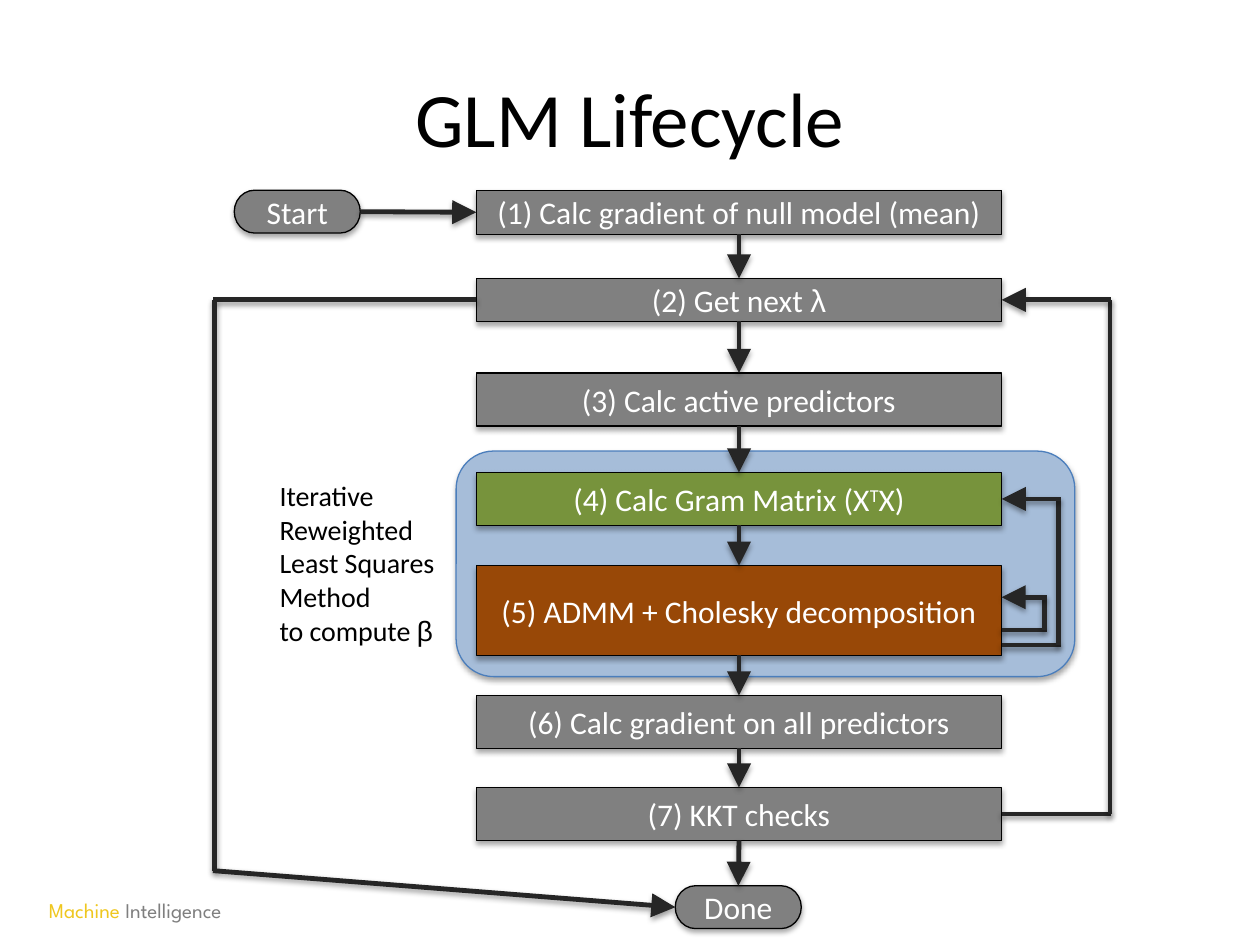
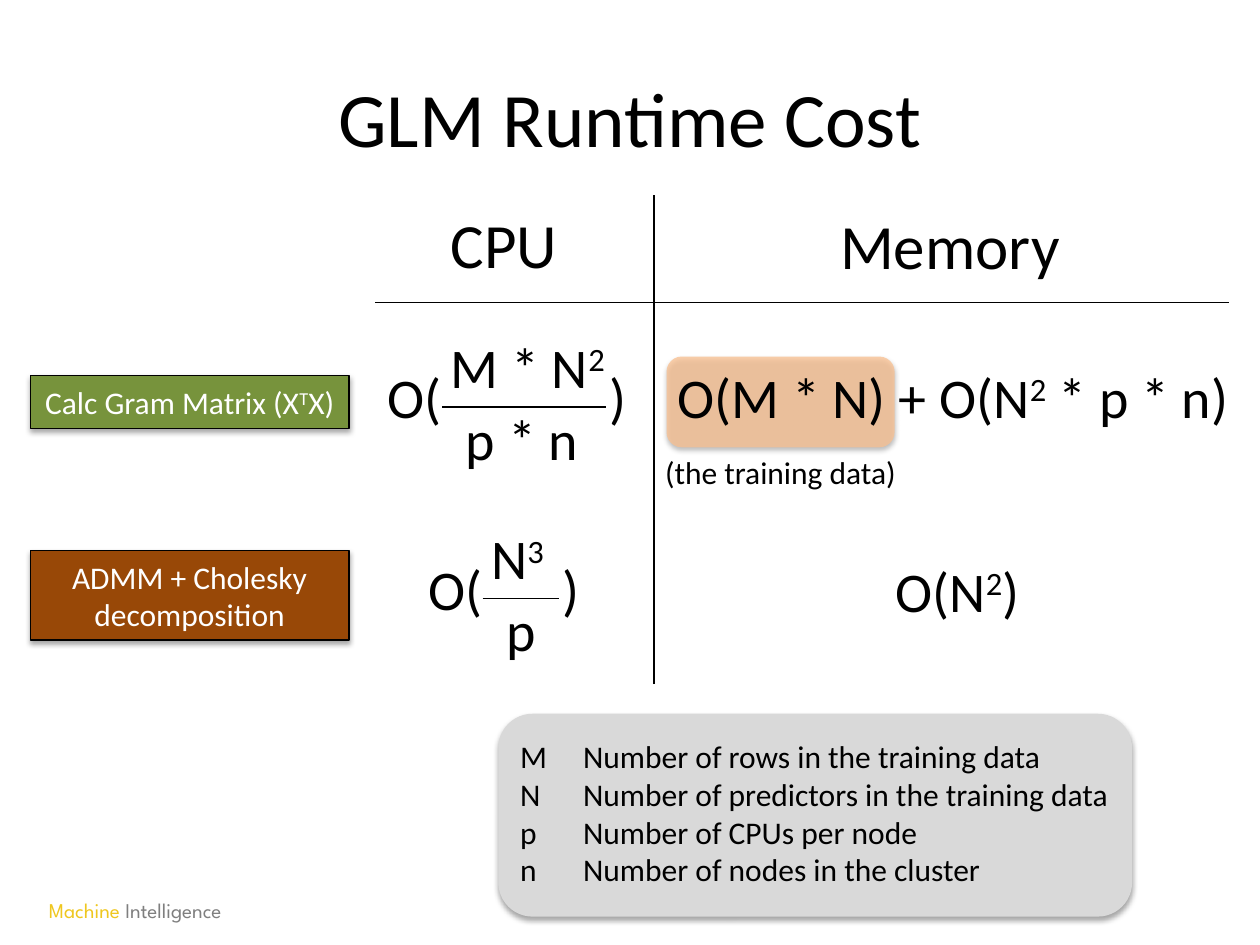
from pptx import Presentation
from pptx.dml.color import RGBColor
from pptx.enum.shapes import MSO_CONNECTOR, MSO_SHAPE
from pptx.enum.text import MSO_ANCHOR, MSO_AUTO_SIZE, PP_ALIGN
from pptx.oxml.ns import qn
from pptx.util import Inches, Pt
from lxml import etree

BOX, PILL, ROUND = (MSO_SHAPE.FLOWCHART_PROCESS, MSO_SHAPE.FLOWCHART_TERMINATOR,
                    MSO_SHAPE.ROUNDED_RECTANGLE)
STRAIGHT = MSO_CONNECTOR.STRAIGHT
MIDDLE, CENTER, LEFT = MSO_ANCHOR.MIDDLE, PP_ALIGN.CENTER, PP_ALIGN.LEFT
GROW = MSO_AUTO_SIZE.SHAPE_TO_FIT_TEXT
TOP_SIDE, LEFT_SIDE, LOW_SIDE, RIGHT_SIDE = range(4)

HUES = {
    "black": "000000", "white": "FFFFFF", "gray": "808080", "dark": "262626",
    "green": "77933C", "brown": "984807", "blue": "A6BDD9", "edge": "4B7EBC",
    "tan": "FAC090", "pale": "D9D9D9", "gold": "EFC71F", "dim": "7F7F7F",
}
BASE = {"size": 18, "name": "Calibri", "color": "black"}
SUP, GREEK = {"base": 30000}, {"name": "Arial"}

# ---- Content: a line is a list of runs, a run is text or (text, format) ----
FOOTER = [("Machine ", {"color": "gold"}), ("Intelligence", {"color": "dim"})]
GRAM = ["Calc Gram Matrix (X", ("T", SUP), "X)"]
ADMM = "ADMM + Cholesky decomposition"

# Steps: runs, top, height, fill
STEPS = [
    (["(1) Calc gradient of null model (mean)"], 1.51, 0.35, "gray"),
    (["(2) Get next ", ("λ", GREEK)], 2.21, 0.34, "gray"),
    (["(3) Calc active predictors"], 2.96, 0.42, "gray"),
    (["(4) "] + GRAM, 3.75, 0.42, "green"),
    (["(5) " + ADMM], 4.49, 0.71, "brown"),
    (["(6) Calc gradient on all predictors"], 5.52, 0.42, "gray"),
    (["(7) KKT checks"], 6.25, 0.42, "gray"),
]
STEP_X, STEP_W = 3.78, 4.17
STEP_END = STEP_X + STEP_W
METHOD = [["Iterative"], ["Reweighted"], ["Least Squares"], ["Method"],
          ["to compute ", ("β", GREEK)]]

# Loops: start, lane x, overlap at corners, turn y, end.
# An end is a point or (step number, side); step 8 is "Done".
LOOPS = [
    ((STEP_END, 5.0), 8.29, 0.02, 4.74, (STEP_END, 4.74)),
    ((STEP_END, 5.12), 8.4, 0.02, 3.96, (4, RIGHT_SIDE)),
    ((7, RIGHT_SIDE), 8.81, 0.01, 2.38, (2, RIGHT_SIDE)),
    ((2, LEFT_SIDE), 1.7, -0.01, 6.91, (8, LEFT_SIDE)),
]

# Fractions: left, top, top runs, width, lower text, width, bar length
COSTS = [
    (2.98, 2.83, ["M * N", ("2", SUP)], 1.45, "p * n", 1.1, 1.3),
    (3.3, 4.35, ["N", ("3", SUP)], 0.64, "p", 0.44, 0.61),
]
# Labels: runs, left, top, width, size
LABELS = [
    (["CPU"], 3.48, 1.58, 1.06, 36),
    (["Memory"], 6.57, 1.59, 1.96, 36),
    (["O(M * N) + O(N", ("2", SUP), " * p * n)"], 5.28, 2.83, 4.63, 32),
    (["O(N", ("2", SUP), ")"], 7.01, 4.37, 1.21, 32),
    (["(the training data)"], 5.18, 3.55, 2.06, 18),
]
RULES = [((2.98, 2.4), (9.75, 2.4)), ((5.19, 5.43), (5.19, 1.55))]
LEGEND = [
    ("M", "Number of rows in the training data"),
    ("N", "Number of predictors in the training data"),
    ("p", "Number of CPUs per node"),
    ("n", "Number of nodes in the cluster"),
]


# ---- Helpers ----
def rgb(key):
    return RGBColor.from_string(HUES[key])


def sub(node, tag, **attrs):
    return etree.SubElement(node, qn(tag), {k: str(v) for k, v in attrs.items()})


def shade(item, alpha=None):
    """Give an item its own effect list, with a soft shadow if alpha is set."""
    props = item.element.spPr
    for old in props.findall(qn("a:effectLst")):
        props.remove(old)
    fx = sub(props, "a:effectLst")
    if alpha:
        cast = sub(fx, "a:outerShdw", blurRad=Pt(3.1), dist=Pt(1.8),
                   dir=5400000, rotWithShape=0)
        tone = sub(cast, "a:srgbClr", val=HUES["black"])
        sub(tone, "a:alpha", val=alpha * 1000)


def add_run(para, run, style):
    text, extra = (run, {}) if isinstance(run, str) else run
    look = {**BASE, **style, **extra}
    part = para.add_run()
    part.text = text
    for key, value in {"size": Pt(look["size"]), "name": look["name"]}.items():
        setattr(part.font, key, value)
    part.font.color.rgb = rgb(look["color"])
    if "base" in look:
        part.font._element.set("baseline", str(look["base"]))


def write(frame, lines, align=LEFT, **style):
    for i, line in enumerate(lines):
        para = frame.add_paragraph() if i else frame.paragraphs[0]
        para.alignment = align
        for run in line:
            add_run(para, run, style)


def add_text(slide, lines, x, y, w, h, wrap=False, **style):
    box = slide.shapes.add_textbox(*map(Inches, (x, y, w, h)))
    box.text_frame.word_wrap = wrap
    box.text_frame.auto_size = GROW
    write(box.text_frame, lines, **style)
    return box


def add_box(slide, kind, x, y, w, h, fill, edge="black", runs=(), alpha=None):
    box = slide.shapes.add_shape(kind, *map(Inches, (x, y, w, h)))
    box.shadow.inherit = False
    box.fill.solid()
    box.fill.fore_color.rgb = rgb(fill)
    if alpha:
        tone = box.element.spPr.find(qn("a:solidFill"))[0]
        sub(tone, "a:alpha", val=alpha * 1000)
    if edge:
        box.line.color.rgb = rgb(edge)
        box.line.width = Pt(0.75)
    else:
        box.line.fill.background()
    shade(box, 35)
    if runs:
        box.text_frame.vertical_anchor = MIDDLE
        box.text_frame.word_wrap = True
        write(box.text_frame, [runs], CENTER, color="white")
    return box


def add_line(slide, start, end, hue="black", width=1, head=False, glow=None):
    line = slide.shapes.add_connector(
        STRAIGHT, *map(Inches, (*start, *end)))
    line.line.color.rgb = rgb(hue)
    line.line.width = Pt(width)
    if head:
        sub(line.element.spPr.find(qn("a:ln")), "a:tailEnd", type="triangle",
            w="lg", len="lg")
    shade(line, glow)
    return line


def start_slide(deck, title):
    slide = deck.slides.add_slide(deck.slide_layouts[5])
    head = slide.shapes.title
    for key, value in zip(("left", "top", "width", "height"),
                          (0.5, 0.3, 9, 1.25)):
        setattr(head, key, Inches(value))
    head.text_frame.vertical_anchor = MIDDLE
    write(head.text_frame, [[title]], CENTER, size=44)
    add_text(slide, [FOOTER], 0.29, 7.07, 1.57, 0.28,
             size=12, name="League Spartan")
    return slide


# ---- Slides ----
def draw_cycle(deck):
    slide = start_slide(deck, "GLM Lifecycle")
    add_box(slide, ROUND, 3.62, 3.58, 4.91, 1.79, "blue", "edge")

    # Start, steps 1 to 7, Done
    nodes = [add_box(slide, PILL, 1.86, 1.51, 1, 0.34, "gray", runs=["Start"])]
    for runs, top, high, fill in STEPS:
        nodes.append(add_box(slide, BOX, STEP_X, top, STEP_W, high, fill,
                             runs=runs))
    nodes.append(add_box(slide, PILL, 5.36, 7.03, 1, 0.34, "gray",
                         runs=["Done"]))

    def join(start, end, head=True):
        glued = [isinstance(p[0], int) for p in (start, end)]
        spots = [(0, 0) if g else p for g, p in zip(glued, (start, end))]
        line = add_line(slide, *spots, "dark", 2.75, head, 38)
        if glued[0]:
            line.begin_connect(nodes[start[0]], start[1])
        if glued[1]:
            line.end_connect(nodes[end[0]], end[1])

    def level(end):
        if isinstance(end[0], int):
            node = nodes[end[0]]
            return (node.top + node.height / 2) / Inches(1)
        return end[1]

    # Main flow
    join((0, RIGHT_SIDE), (1, LEFT_SIDE))
    for i in range(1, len(nodes) - 1):
        join((i, LOW_SIDE), (i + 1, TOP_SIDE))

    # Loops: out to the lane, along it, and back in
    for start, lane, lap, turn, end in LOOPS:
        y = level(start)
        join(start, (lane + lap, y), False)
        join((lane, y), (lane, turn), False)
        join((lane + lap, turn), end)

    add_text(slide, METHOD, 2.12, 3.75, 1.45, 1.45, size=16)


def draw_cost(deck):
    slide = start_slide(deck, "GLM Runtime Cost")
    add_box(slide, ROUND, 5.29, 2.83, 1.81, 0.72, "tan", None, alpha=75)
    add_box(slide, ROUND, 3.96, 5.67, 5.02, 1.6, "pale", "pale")
    add_box(slide, BOX, 0.24, 2.98, 2.53, 0.42, "green", runs=GRAM)
    add_box(slide, BOX, 0.24, 4.37, 2.53, 0.71, "brown", runs=[ADMM])

    # Grid and labels
    for start, end in RULES:
        add_line(slide, start, end)
    for runs, x, y, wide, size in LABELS:
        add_text(slide, [runs], x, y, wide, size / 50, size=size)

    # Fractions
    for x, y, over, over_w, under, under_w, bar in COSTS:
        left = x + 0.53
        parts = [(["O("], x, y, 0.64), (over, x + 0.5, y - 0.24, over_w),
                 ([under], x + 0.62, y + 0.33, under_w),
                 ([")"], left + bar - 0.07, y, 0.34)]
        for runs, px, py, wide in parts:
            add_text(slide, [runs], px, py, wide, 0.64, size=32)
        add_line(slide, (left, y + 0.4), (left + bar, y + 0.4))

    # Legend
    lines = [[f"{sign}\t{text}"] for sign, text in LEGEND]
    box = add_text(slide, lines, 4.03, 5.8, 5.18, 1.3, wrap=True)
    for para in box.text_frame.paragraphs:
        tabs = sub(para._p.get_or_add_pPr(), "a:tabLst")
        sub(tabs, "a:tab", pos=Inches(0.5), algn="l")


def main():
    deck = Presentation()
    deck.slide_width, deck.slide_height = Inches(10), Inches(7.5)
    draw_cycle(deck)
    draw_cost(deck)
    deck.save("out.pptx")


if __name__ == "__main__":
    main()
